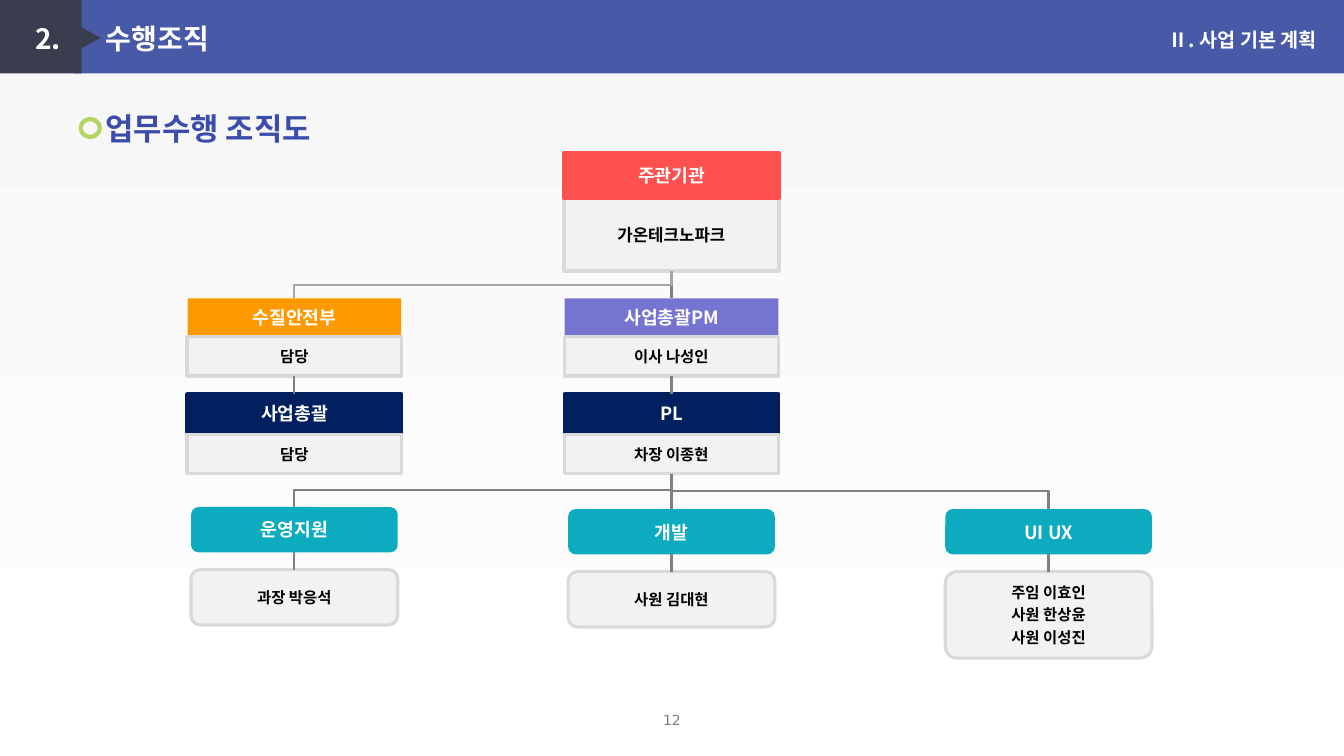
from dataclasses import dataclass

from lxml import etree
from pptx import Presentation
from pptx.dml.color import RGBColor
from pptx.enum.shapes import MSO_CONNECTOR, MSO_SHAPE
from pptx.enum.text import MSO_ANCHOR, MSO_AUTO_SIZE, PP_ALIGN
from pptx.oxml.ns import qn
from pptx.util import Inches, Pt

RECT, ROUND = MSO_SHAPE.RECTANGLE, MSO_SHAPE.ROUNDED_RECTANGLE
OVAL, TRIANGLE = MSO_SHAPE.OVAL, MSO_SHAPE.ISOSCELES_TRIANGLE
STRAIGHT, ELBOW = MSO_CONNECTOR.STRAIGHT, MSO_CONNECTOR.ELBOW
LEFT, CENTER, RIGHT = PP_ALIGN.LEFT, PP_ALIGN.CENTER, PP_ALIGN.RIGHT
TOP, MIDDLE = MSO_ANCHOR.TOP, MSO_ANCHOR.MIDDLE
FIT = MSO_AUTO_SIZE.SHAPE_TO_FIT_TEXT
TOP_SIDE, BOTTOM_SIDE = 0, 2


@dataclass(frozen=True)
class Theme:
    """Fonts, colours and type sizes of the slide."""
    font: str = "Noto Sans CJK KR"
    number_font: str = "DejaVu Sans"
    white: str = "FFFFFF"
    black: str = "000000"
    back: str = "F7F7F7"
    header: str = "485AA7"
    dark: str = "3A3D4E"
    heading: str = "3B4CAB"
    ring: str = "B4D464"
    number: str = "7F7F7F"
    line: str = "808080"
    pale_line: str = "A6A6A6"
    panel: str = "F2F2F2"
    border: str = "D9D9D9"
    red: str = "FF5050"
    orange: str = "FF9900"
    violet: str = "7575D1"
    navy: str = "002060"
    teal: str = "0CABC0"
    title_size: int = 20
    heading_size: int = 22
    chapter_size: int = 14
    unit_size: int = 13
    client_size: int = 12
    member_size: int = 11
    number_size: int = 10


T = Theme()
COLUMNS = [2.92 + 3.74 * i for i in range(3)]


def rgb(color):
    """Turn a hex string into a colour."""
    return RGBColor.from_string(color)


def write(tf, lines, size, color, align, font=T.font, bold=True):
    """Fill a text frame, one paragraph a line."""
    for i, line in enumerate(lines):
        p = tf.paragraphs[0] if i == 0 else tf.add_paragraph()
        p.alignment = align
        if i:
            p.space_before = Pt(2.6)
        r = p.add_run()
        r.text = line
        r.font.size, r.font.bold, r.font.name = Pt(size), bold, font
        r.font.color.rgb = rgb(color)
        etree.SubElement(r.font._element, qn("a:ea"), typeface=font)


def add_label(s, box, text, size, color, align=LEFT, anchor=TOP, **style):
    """Add a text box."""
    tf = s.shapes.add_textbox(*map(Inches, box)).text_frame
    tf.word_wrap, tf.auto_size, tf.vertical_anchor = True, FIT, anchor
    write(tf, [text], size, color, align, **style)


def add_block(s, kind, box, fill=None, border=None, weight=0):
    """Add a preset shape with an optional fill and border."""
    sp = s.shapes.add_shape(kind, *map(Inches, box))
    sp.shadow.inherit = False
    if fill:
        sp.fill.solid()
        sp.fill.fore_color.rgb = rgb(fill)
    else:
        sp.fill.background()
    if border:
        sp.line.color.rgb = rgb(border)
        sp.line.width = Pt(weight)
    else:
        sp.line.fill.background()
    return sp


def add_box(s, kind, column, top, size, lines, points, color, *paint):
    """Add a captioned box centred on a column of the chart."""
    width, height = size
    sp = add_block(s, kind, (COLUMNS[column] - width / 2, top, width, height), *paint)
    tf = sp.text_frame
    tf.word_wrap, tf.vertical_anchor = False, MIDDLE
    tf.margin_left = tf.margin_right = tf.margin_top = tf.margin_bottom = Inches(0.05)
    write(tf, lines, points, color, CENTER)
    return sp


def add_panel(s, kind, column, top, size, lines, points=T.member_size, weight=2.25):
    """Add the pale box that names the people of a unit."""
    return add_box(s, kind, column, top, size, lines, points, T.black,
                   T.panel, T.border, weight)


def add_unit(s, column, top, name, member, fill, border=None):
    """Add a unit heading with its panel below; return both."""
    head = add_box(s, RECT, column, top, (2.12, 0.38), [name], T.unit_size,
                   T.white, fill, border, 3)
    gap = 0.4 if border else 0.38
    return head, add_panel(s, RECT, column, top + gap, (2.13, 0.39), [member])


def add_team(s, column, top, name, members, height):
    """Add a rounded team heading with its members below."""
    head = add_box(s, ROUND, column, top, (2.05, 0.45), [name], T.unit_size,
                   T.white, T.teal)
    panel = add_panel(s, ROUND, column, top + 0.62, (2.05, height), members)
    if len(members) > 1:
        panel.adjustments[0] = 0.138
    link(s, head, panel)
    return head


def link(s, upper, lower, color=T.line, kind=STRAIGHT):
    """Join the bottom of one box to the top of another."""
    c = s.shapes.add_connector(kind, 0, 0, 0, 0)
    c.begin_connect(upper, BOTTOM_SIDE)
    c.end_connect(lower, TOP_SIDE)
    c.line.color.rgb = rgb(color)
    c.line.width = Pt(1.5)
    etree.SubElement(c._element.spPr, qn("a:effectLst"))
    if kind == ELBOW:
        turn_elbow(c)


def turn_elbow(c):
    """Turn an elbow so that it leaves and arrives vertically."""
    x1, y1, x2, y2 = c.begin_x, c.begin_y, c.end_x, c.end_y
    run, drop = abs(x2 - x1), y2 - y1
    c.left, c.top = (x1 + x2 - drop) // 2, (y1 + y2 - run) // 2
    c.width, c.height = drop, run
    xfrm = c._element.spPr.find(qn("a:xfrm"))
    xfrm.set("rot", str((90 if x2 < x1 else 270) * 60000))
    xfrm.set("flipH", "0" if x2 < x1 else "1")


def add_header(s):
    """Add the title band, the section heading and the page number."""
    add_block(s, RECT, (0.73, 0, 12.6, 0.73), T.header)
    add_block(s, RECT, (-0.01, 0, 0.82, 0.73), T.dark)
    add_block(s, TRIANGLE, (0.73, 0.25, 0.28, 0.25), T.dark).rotation = 90
    for left, width, text in ((0.25, 0.6, "2."), (0.95, 2.48, "수행조직")):
        add_label(s, (left, 0.16, width, 0.43), text, T.title_size, T.white)
    add_label(s, (10.76, 0.23, 2.4, 0.34), "Ⅱ. 사업 기본 계획", T.chapter_size,
              T.white, RIGHT)
    add_label(s, (0.95, 1.04, 4.15, 0.47), "업무수행 조직도", T.heading_size, T.heading)
    add_block(s, OVAL, (0.8, 1.18, 0.19, 0.18), None, T.ring, 3)
    add_label(s, (0, 7.01, 13.33, 0.27), "12", T.number_size, T.number, CENTER,
              MIDDLE, font=T.number_font, bold=False)


def add_chart_of_units(s):
    """Add the organisation chart from the client down to the teams."""
    client = add_panel(s, RECT, 1, 1.96, (2.13, 0.73), ["가온테크노파크"],
                       T.client_size, 3)
    add_box(s, RECT, 1, 1.51, (2.14, 0.46), ["주관기관"], T.unit_size, T.white,
            T.red, T.red, 2.25)
    safety, safety_panel = add_unit(s, 0, 2.96, "수질안전부", "담당", T.orange)
    manager, manager_panel = add_unit(s, 1, 2.96, "사업총괄PM", "이사 나성인", T.violet)
    general, _ = add_unit(s, 0, 3.91, "사업총괄", "담당", T.navy, T.navy)
    leader, leader_panel = add_unit(s, 1, 3.91, "PL", "차장 이종현", T.navy, T.navy)
    link(s, client, manager)
    link(s, client, safety, T.pale_line, ELBOW)
    link(s, safety_panel, general)
    link(s, manager_panel, leader)
    teams = (
        (5.03, "운영지원", ["과장 박응석"], 0.55),
        (5.05, "개발", ["사원 김대현"], 0.55),
        (5.05, "UI UX", ["주임 이효인", "사원 한상윤", "사원 이성진"], 0.86),
    )
    for column, team in enumerate(teams):
        head = add_team(s, column, *team)
        link(s, leader_panel, head, kind=STRAIGHT if column == 1 else ELBOW)


def main():
    """Build the slide and save it."""
    prs = Presentation()
    prs.slide_width, prs.slide_height = Inches(13.33), Inches(7.5)
    s = prs.slides.add_slide(prs.slide_layouts[6])
    fill = s.background.fill
    fill.gradient()
    fill.gradient_angle = 270
    for stop, color in zip(fill.gradient_stops, (T.back, T.white)):
        stop.color.rgb = rgb(color)
    add_header(s)
    add_chart_of_units(s)
    prs.save("out.pptx")


if __name__ == "__main__":
    main()
